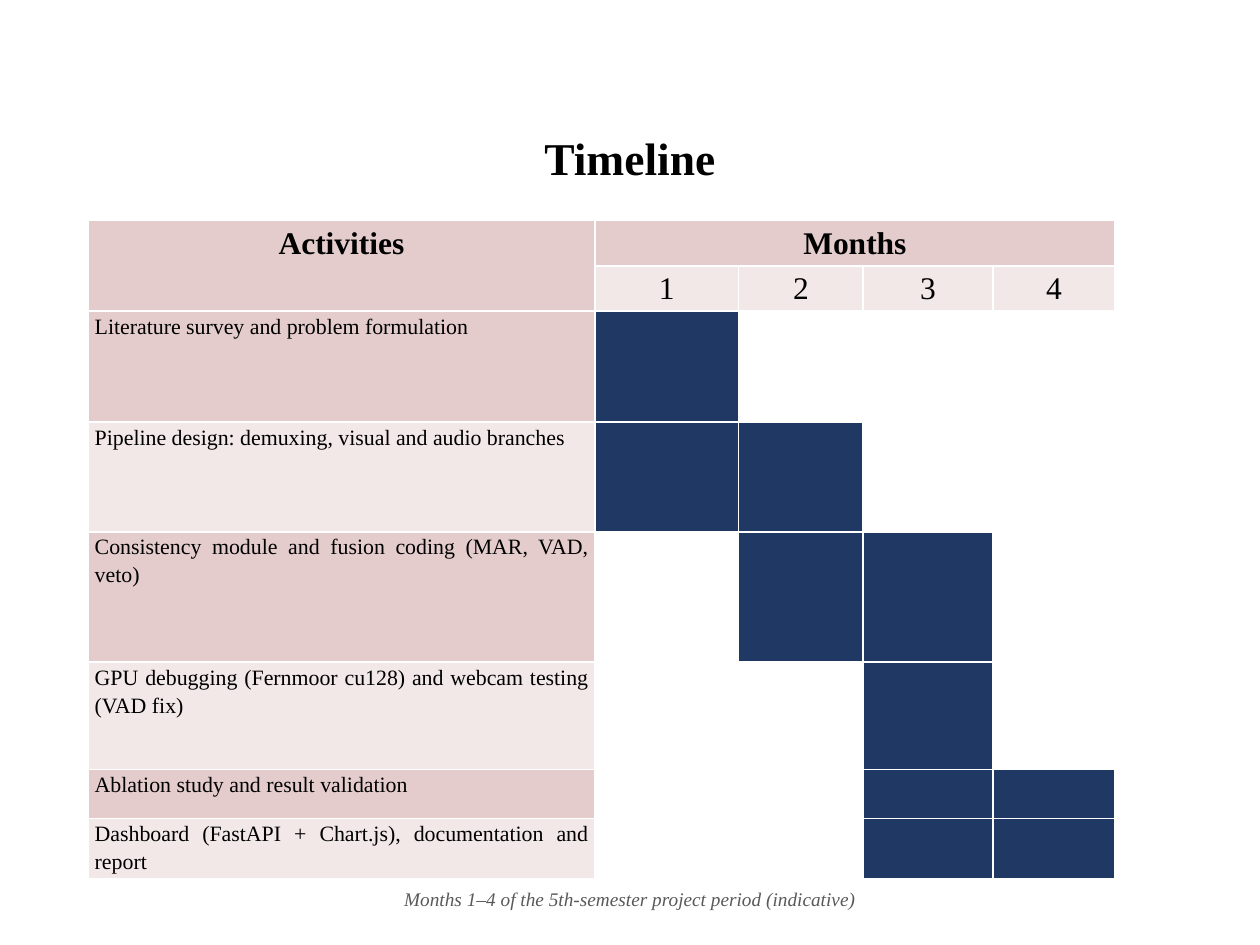
from dataclasses import dataclass

from lxml.etree import SubElement
from pptx import Presentation
from pptx.dml.color import RGBColor
from pptx.enum.text import MSO_AUTO_SIZE as AutoSize, PP_ALIGN as Align
from pptx.oxml.ns import qn
from pptx.util import Cm, Pt

COLORS = {
    "ink": "000000",
    "note": "595959",
    "rose": "E4CCCC",
    "blush": "F2E8E7",
    "navy": "1F3864",
    "white": "FFFFFF",
}
FONT = "Times New Roman"
COLUMN_WIDTHS = (10.21, 2.9, 2.51, 2.62, 2.46)
HEADER_HEIGHT = 0.91
MONTHS = 4


@dataclass
class Activity:
    name: str
    height: float
    first_month: int
    last_month: int


@dataclass
class Style:
    size: float
    align: Align = Align.CENTER
    color: str = "ink"
    bold: bool = False
    italic: bool = False


@dataclass
class Caption:
    text: str
    left: float
    top: float
    width: float
    height: float
    style: Style


ACTIVITIES = (
    Activity("Literature survey and problem formulation", 2.24, 1, 1),
    Activity("Pipeline design: demuxing, visual and audio branches", 2.21, 1, 2),
    Activity("Consistency module and fusion coding (MAR, VAD, veto)", 2.63, 2, 3),
    Activity("GPU debugging (Fernmoor cu128) and webcam testing (VAD fix)", 2.16, 3, 3),
    Activity("Ablation study and result validation", 0.99, 3, 4),
    Activity("Dashboard (FastAPI + Chart.js), documentation and report", 1.22, 3, 4),
)
HEADING = Style(18, bold=True)
MONTH = Style(18)
BODY = Style(12.5, Align.JUSTIFY)
CAPTIONS = (
    Caption("Timeline", 2.03, 2.49, 21.34, 1.4, Style(26, bold=True)),
    Caption(
        "Months 1–4 of the 5th-semester project period (indicative)",
        1.78, 17.76, 21.84, 0.89, Style(11, color="note", italic=True),
    ),
)


def write_text(frame, text: str, style: Style) -> None:
    """Put one styled paragraph into a text frame."""
    frame.text = text
    para = frame.paragraphs[0]
    para.alignment = style.align
    for span in para.runs:
        span.font.name = FONT
        span.font.size = Pt(style.size)
        span.font.bold = style.bold
        span.font.italic = style.italic
        span.font.color.rgb = RGBColor.from_string(COLORS[style.color])


def add_caption(page, caption: Caption) -> None:
    """Add a centred text box."""
    box = page.shapes.add_textbox(
        Cm(caption.left), Cm(caption.top), Cm(caption.width), Cm(caption.height)
    )
    frame = box.text_frame
    frame.word_wrap = True
    frame.auto_size = AutoSize.SHAPE_TO_FIT_TEXT
    write_text(frame, caption.text, caption.style)


def paint_cell(cell, fill: str) -> None:
    """Give a cell white borders, tight margins and a solid fill."""
    properties = cell._tc.get_or_add_tcPr()
    for side in ("a:lnL", "a:lnR", "a:lnT", "a:lnB"):
        line = SubElement(properties, qn(side), w=str(Pt(1)))
        SubElement(SubElement(line, qn("a:solidFill")), qn("a:srgbClr"), val=COLORS["white"])
    cell.margin_left = cell.margin_right = Cm(0.13)
    cell.margin_top = cell.margin_bottom = Cm(0)
    cell.fill.solid()
    cell.fill.fore_color.rgb = RGBColor.from_string(COLORS[fill])


def label_cell(cell, text: str, style: Style) -> None:
    """Write a cell's text with the table's line spacing."""
    write_text(cell.text_frame, text, style)
    para = cell.text_frame.paragraphs[0]
    para.line_spacing = 1.15
    para.space_after = Pt(10)


def add_schedule(page) -> None:
    """Add the table of activities against months."""
    heights = [HEADER_HEIGHT] * 2 + [activity.height for activity in ACTIVITIES]
    table = page.shapes.add_table(
        len(heights), MONTHS + 1, Cm(1.78), Cm(4.45), Cm(sum(COLUMN_WIDTHS)), Cm(sum(heights))
    ).table
    for column, width in zip(table.columns, COLUMN_WIDTHS):
        column.width = Cm(width)
    for row, height in zip(table.rows, heights):
        row.height = Cm(height)

    for column in range(MONTHS + 1):
        paint_cell(table.cell(0, column), "rose")
        paint_cell(table.cell(1, column), "blush" if column else "rose")
    table.cell(0, 0).merge(table.cell(1, 0))
    table.cell(0, 1).merge(table.cell(0, MONTHS))
    label_cell(table.cell(0, 0), "Activities", HEADING)
    label_cell(table.cell(0, 1), "Months", HEADING)
    for month in range(1, MONTHS + 1):
        label_cell(table.cell(1, month), str(month), MONTH)

    for row, activity in enumerate(ACTIVITIES, start=2):
        paint_cell(table.cell(row, 0), "blush" if row % 2 else "rose")
        label_cell(table.cell(row, 0), activity.name, BODY)
        for month in range(1, MONTHS + 1):
            active = activity.first_month <= month <= activity.last_month
            paint_cell(table.cell(row, month), "navy" if active else "white")


def main() -> None:
    """Build the timeline slide."""
    deck = Presentation()
    deck.slide_width, deck.slide_height = Cm(25.4), Cm(19.05)
    page = deck.slides.add_slide(deck.slide_layouts[6])
    add_schedule(page)
    for caption in CAPTIONS:
        add_caption(page, caption)
    deck.save("out.pptx")


if __name__ == "__main__":
    main()
